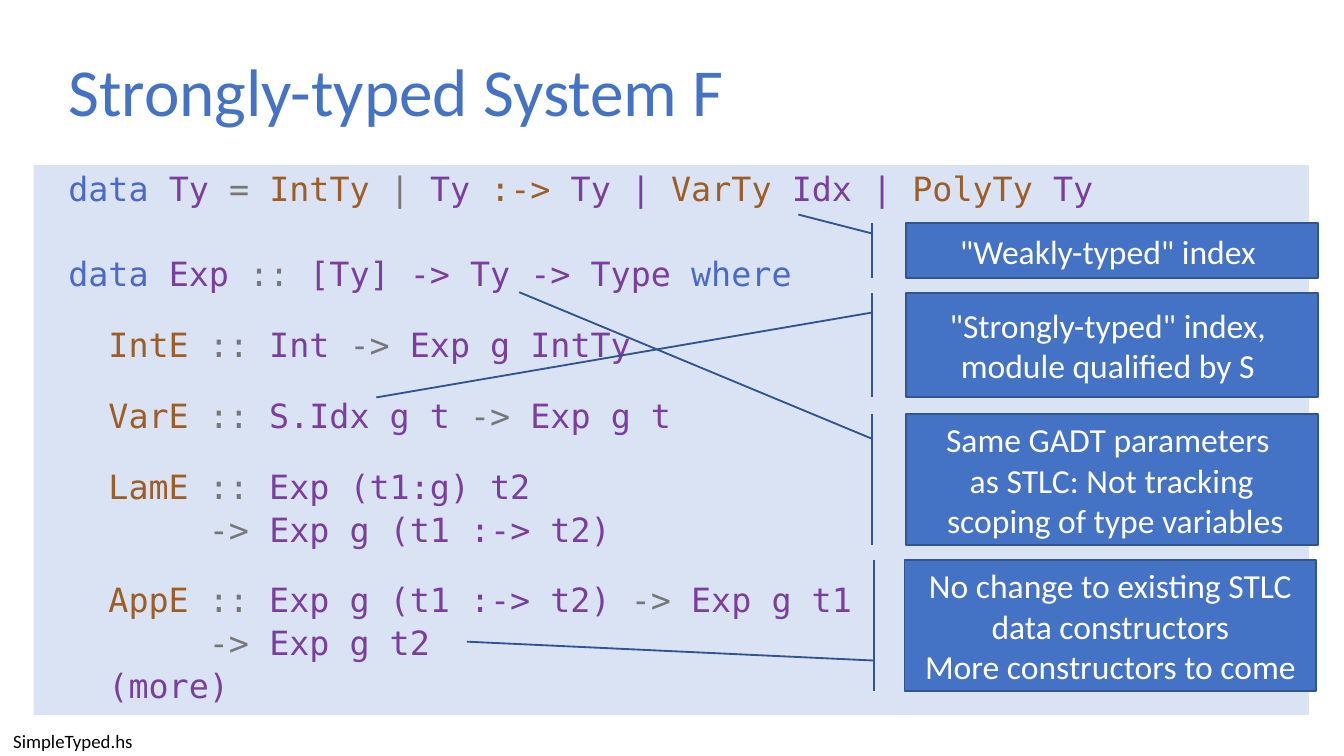
from dataclasses import dataclass

from pptx import Presentation
from pptx.dml.color import RGBColor
from pptx.enum.shapes import MSO_SHAPE
from pptx.enum.text import MSO_ANCHOR, PP_ALIGN
from pptx.util import Pt

RECT = MSO_SHAPE.RECTANGLE
CALLOUT = MSO_SHAPE.LINE_CALLOUT_1_BORDER_AND_ACCENT_BAR
MIDDLE, TOP = MSO_ANCHOR.MIDDLE, MSO_ANCHOR.TOP
CENTER = PP_ALIGN.CENTER


@dataclass(frozen=True)
class Theme:
    accent: str = "4472C4"
    panel: str = "DAE3F3"
    edge: str = "325491"
    white: str = "FFFFFF"
    black: str = "000000"
    keyword: str = "4B69C6"
    type_name: str = "7A3E9D"
    constructor: str = "9C5D27"
    symbol: str = "777777"
    sans: str = "Calibri"
    mono: str = "DejaVu Sans Mono"
    title_size: float = 36
    code_size: float = 17.9
    note_size: float = 18
    file_size: float = 10.1


T = Theme()


def write(p, text, size, color, font=T.sans):
    """Add one formatted run to a paragraph."""
    r = p.add_run()
    r.text = text
    r.font.size = Pt(size)
    r.font.name = font
    r.font.color.rgb = RGBColor.from_string(color)


def add_box(shapes, kind, left, top, width, height, fill):
    """Add a flat, borderless preset shape."""
    sp = shapes.add_shape(kind, Pt(left), Pt(top), Pt(width), Pt(height))
    sp.shadow.inherit = False
    sp.fill.solid()
    sp.fill.fore_color.rgb = RGBColor.from_string(fill)
    sp.line.fill.background()
    return sp


prs = Presentation()
prs.slide_width, prs.slide_height = Pt(720), Pt(405)
s = prs.slides.add_slide(prs.slide_layouts[5])

# Code panel
add_box(s.shapes, RECT, 18, 88.5, 683.3, 294.5, T.panel)

# Title
title = s.shapes.title
title.left, title.top, title.width, title.height = Pt(29.5), Pt(18.7), Pt(620.6), Pt(64)
tf = title.text_frame
tf.vertical_anchor = MIDDLE
p = tf.paragraphs[0]
p.alignment = PP_ALIGN.LEFT
p.line_spacing = 0.9
write(p, "Strongly-typed System F", T.title_size, T.accent)

# Code: space before each line, then its coloured pieces
K, N, C, S = T.keyword, T.type_name, T.constructor, T.symbol
NEXT, GROUP, BLOCK = 7.5, 22.5, 30
code = [
    (0, [(K, "data "), (N, "Ty "), (S, "= "), (C, "IntTy "), (S, "| "), (N, "Ty "),
         (C, ":-> "), (N, "Ty | "), (C, "VarTy "), (N, "Idx | "), (C, "PolyTy "), (N, "Ty")]),
    (BLOCK, [(K, "data "), (N, "Exp "), (S, ":: "), (N, "[Ty] -> Ty -> Type "), (K, "where")]),
    (GROUP, [(C, "  IntE "), (S, ":: "), (N, "Int "), (S, "-> "), (N, "Exp g IntTy")]),
    (GROUP, [(C, "  VarE "), (S, ":: "), (N, "S.Idx g t "), (S, "-> "), (N, "Exp g t")]),
    (GROUP, [(C, "  LamE "), (S, ":: "), (N, "Exp (t1:g) t2")]),
    (NEXT, [(S, "       -> "), (N, "Exp g (t1 :-> t2)")]),
    (GROUP, [(C, "  AppE "), (S, ":: "), (N, "Exp g (t1 :-> t2) "), (S, "-> "), (N, "Exp g t1")]),
    (NEXT, [(S, "       -> "), (N, "Exp g t2")]),
    (NEXT, [(N, "  (more)")]),
]
tf = s.shapes.add_textbox(Pt(29.5), Pt(92.2), Pt(674), Pt(273)).text_frame
tf.word_wrap = True
tf.vertical_anchor = TOP
for i, (gap, pieces) in enumerate(code):
    p = tf.add_paragraph() if i else tf.paragraphs[0]
    p.line_spacing = 0.72
    p.space_before = Pt(gap)
    for color, text in pieces:
        write(p, text, T.code_size, color, font=T.mono)

# File name
tf = s.shapes.add_textbox(Pt(0), Pt(387.4), Pt(80), Pt(19.4)).text_frame
tf.word_wrap = False
write(tf.paragraphs[0], "SimpleTyped.hs", T.file_size, T.black)

# Callouts: left, top, height, pointer (y1, x1, y2, x2), paragraphs
callouts = [
    (485.3, 119.5, 29.5, (0.188, -0.083, -0.155, -0.261), ['"Weakly-typed" index ']),
    (485.3, 221.8, 70.4, (0.188, -0.083, -0.927, -0.939),
     ["Same GADT parameters ", "as STLC: Not tracking", " scoping of type variables"]),
    (484.6, 300, 70.4, (0.766, -0.074, 0.622, -1.063),
     ["No change to existing STLC data constructors", "More constructors to come"]),
    (485.3, 157, 55.7, (0.188, -0.083, 1.004, -1.286),
     ['"Strongly-typed" index, ', "module qualified by S "]),
]
for left, top, height, pointer, lines in callouts:
    sp = add_box(s.shapes, CALLOUT, left, top, 220.6, height, T.accent)
    sp.line.color.rgb = RGBColor.from_string(T.edge)
    sp.line.width = Pt(1)
    for i, value in enumerate(pointer):
        sp.adjustments[i] = value
    tf = sp.text_frame
    tf.word_wrap = True
    tf.vertical_anchor = MIDDLE
    for i, line in enumerate(lines):
        p = tf.add_paragraph() if i else tf.paragraphs[0]
        p.alignment = CENTER
        write(p, line, T.note_size, T.white)

prs.save("out.pptx")
